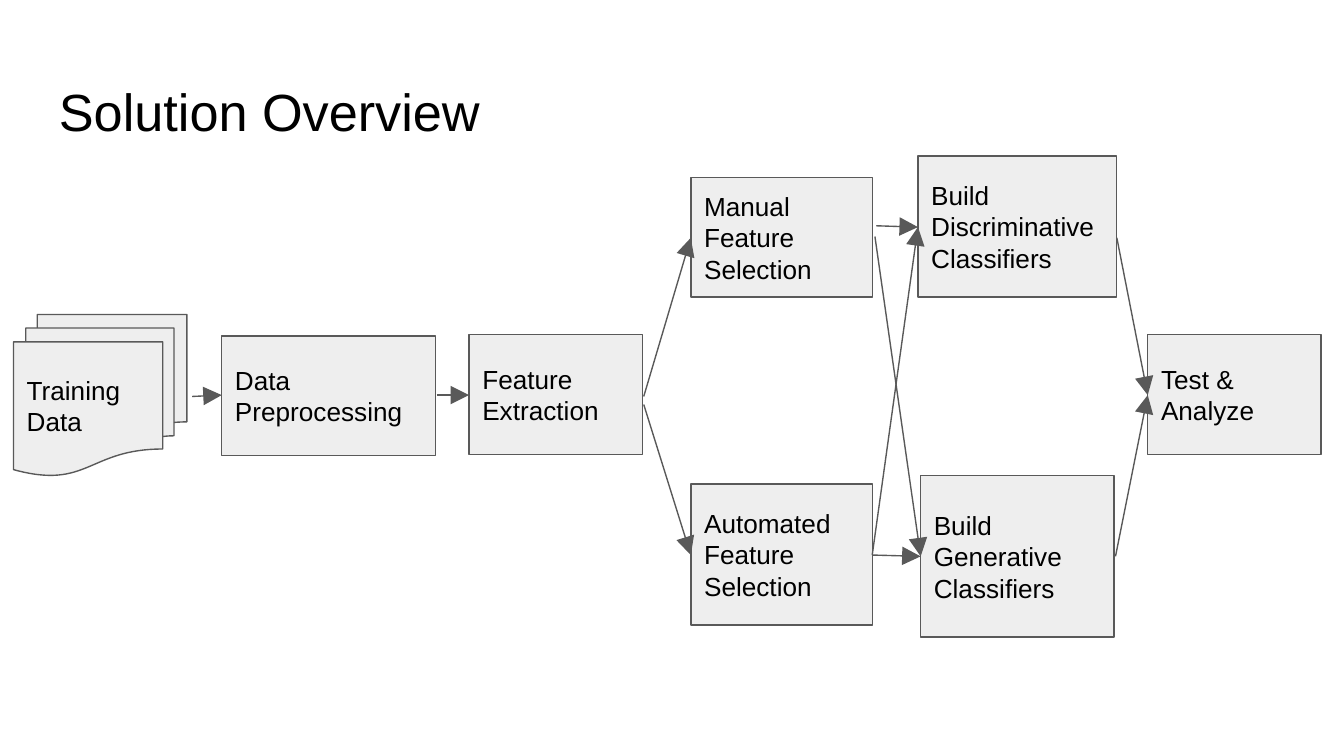
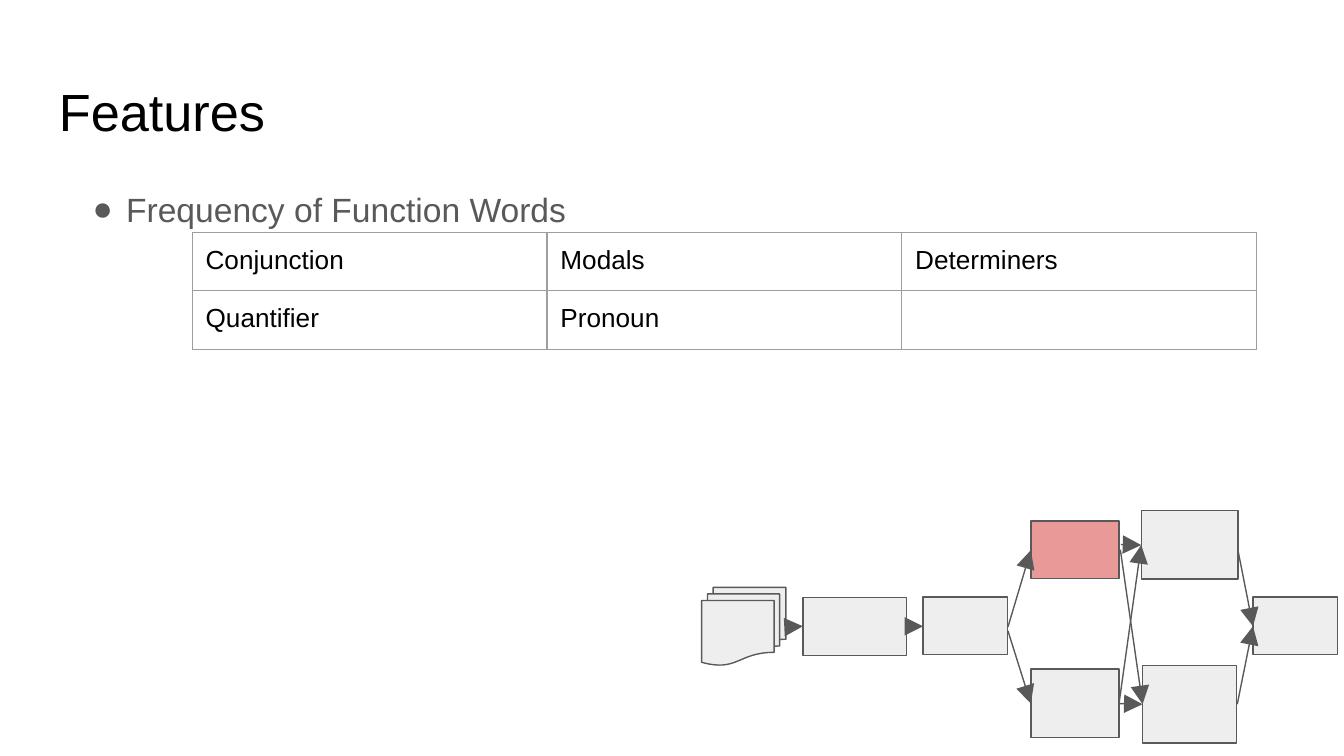
from dataclasses import dataclass

from lxml import etree
from pptx import Presentation
from pptx import util as u
from pptx.dml.color import RGBColor
from pptx.enum import shapes, text
from pptx.oxml import ns

FONT = "Arial"
BLACK, GRAY, BOX_FILL, GRID = "000000", "595959", "EEEEEE", "9E9E9E"
HIGHLIGHT = "EA9999"
INSET = 0.1
LINE_WIDTH = 0.75
LABEL_SIZE = 14
PAGE_WIDTH = 10


@dataclass(frozen=True)
class Frame:
    """A rectangle in inches."""
    left: float
    top: float
    width: float
    height: float


@dataclass(frozen=True)
class Step:
    label: str
    frame: Frame
    kind: shapes.MSO_SHAPE = shapes.MSO_SHAPE.RECTANGLE


@dataclass(frozen=True)
class Arrow:
    start: tuple[float, float]
    end: tuple[float, float]


# The pipeline at full size, and the areas it fills on each slide
FULL_AREA = Frame(0.1, 1.16, 9.73, 3.58)
SMALL_AREA = Frame(5.22, 3.8, 4.73, 1.73)

STEPS = [
    Step("Training Data", Frame(0.1, 2.34, 1.29, 1.2), shapes.MSO_SHAPE.FLOWCHART_MULTIDOCUMENT),
    Step("Data Preprocessing", Frame(1.65, 2.5, 1.59, 0.89)),
    Step("Feature Extraction", Frame(3.49, 2.49, 1.29, 0.89)),
    Step("Manual Feature Selection", Frame(5.14, 1.32, 1.35, 0.89)),
    Step("Automated Feature Selection", Frame(5.14, 3.6, 1.35, 1.05)),
    Step("Build Discriminative Classifiers", Frame(6.83, 1.16, 1.48, 1.05)),
    Step("Build Generative Classifiers", Frame(6.85, 3.54, 1.44, 1.2)),
    Step("Test & Analyze", Frame(8.54, 2.49, 1.29, 0.89)),
]
ARROWS = [
    Arrow((1.43, 2.95), (1.65, 2.94)),
    Arrow((3.25, 2.94), (3.49, 2.94)),
    Arrow((4.79, 2.95), (5.14, 1.77)),
    Arrow((4.79, 3.01), (5.14, 4.13)),
    Arrow((6.49, 4.13), (6.83, 1.69)),
    Arrow((6.49, 4.13), (6.85, 4.14)),
    Arrow((6.51, 1.76), (6.85, 4.14)),
    Arrow((6.52, 1.68), (6.83, 1.69)),
    Arrow((8.31, 1.77), (8.54, 2.94)),
    Arrow((8.3, 4.14), (8.54, 2.94)),
]
FUNCTION_WORDS = [["Conjunction", "Modals", "Determiners"], ["Quantifier", "Pronoun", ""]]


def color(value: str) -> RGBColor:
    return RGBColor.from_string(value)


def add_xml(parent, tag: str, **attributes: str):
    return etree.SubElement(parent, ns.qn(tag), attributes)


def inches(frame: Frame) -> list[u.Length]:
    return [u.Inches(n) for n in (frame.left, frame.top, frame.width, frame.height)]


def write(body, content: str, *, size: float, ink: str = BLACK,
          anchor=text.MSO_ANCHOR.TOP):
    """Put one left-aligned paragraph into a text frame and return it."""
    body.word_wrap = True
    body.vertical_anchor = anchor
    body.margin_left = body.margin_right = u.Inches(INSET)
    body.margin_top = body.margin_bottom = u.Inches(INSET)
    para = body.paragraphs[0]
    para.alignment = text.PP_ALIGN.LEFT
    span = para.add_run()
    span.text = content
    span.font.name = FONT
    span.font.size = u.Pt(size)
    span.font.color.rgb = color(ink)
    return para


def add_page(deck, title: str):
    page = deck.slides.add_slide(deck.slide_layouts[6])
    box = page.shapes.add_textbox(*inches(Frame(0.34, 0.49, 9.32, 0.63)))
    write(box.text_frame, title, size=28)
    return page


def add_bullet(page, content: str) -> None:
    box = page.shapes.add_textbox(*inches(Frame(0.34, 1.26, 9.32, 3.74)))
    para = write(box.text_frame, content, size=18, ink=GRAY)
    para.line_spacing = 1.15
    para.space_after = u.Pt(16)
    props = para._p.get_or_add_pPr()
    props.set("marL", str(u.Inches(0.5)))
    props.set("indent", str(u.Inches(-0.25)))
    add_xml(add_xml(props, "a:buClr"), "a:srgbClr", val=GRAY)
    add_xml(props, "a:buFont", typeface=FONT)
    add_xml(props, "a:buChar", char="●")


def add_borders(cell) -> None:
    props = cell._tc.get_or_add_tcPr()
    for side in ("L", "R", "T", "B"):
        line = add_xml(props, f"a:ln{side}", w=str(u.Pt(LINE_WIDTH)))
        add_xml(add_xml(line, "a:solidFill"), "a:srgbClr", val=GRID)


def add_word_table(page) -> None:
    column_width, row_heights = 2.64, (0.35, 0.42)
    columns = len(FUNCTION_WORDS[0])
    frame = Frame(1.43, 1.73, column_width * columns, sum(row_heights))
    table = page.shapes.add_table(len(row_heights), columns, *inches(frame)).table
    table.first_row = table.horz_banding = False
    for column in table.columns:
        column.width = u.Inches(column_width)
    for row, height, words in zip(table.rows, row_heights, FUNCTION_WORDS):
        row.height = u.Inches(height)
        for cell, word in zip(row.cells, words):
            add_borders(cell)
            cell.fill.background()
            cell.margin_left = cell.margin_right = u.Inches(INSET)
            cell.margin_top = cell.margin_bottom = u.Inches(INSET)
            if word:
                write(cell.text_frame, word, size=LABEL_SIZE)
            else:
                para = cell.text_frame.paragraphs[0]
                add_xml(para._p, "a:endParaRPr", sz=str(LABEL_SIZE * 100))


def place(x: float, y: float, area: Frame) -> tuple[float, float]:
    """Move a point of the full-size pipeline into an area."""
    return (area.left + (x - FULL_AREA.left) * area.width / FULL_AREA.width,
            area.top + (y - FULL_AREA.top) * area.height / FULL_AREA.height)


def add_step(page, step: Step, area: Frame, fill: str, labelled: bool) -> None:
    left, top = place(step.frame.left, step.frame.top, area)
    right, bottom = place(step.frame.left + step.frame.width,
                          step.frame.top + step.frame.height, area)
    box = page.shapes.add_shape(step.kind, *inches(Frame(left, top, right - left, bottom - top)))
    box.shadow.inherit = False
    box.fill.solid()
    box.fill.fore_color.rgb = color(fill)
    box.line.color.rgb = color(GRAY)
    box.line.width = u.Pt(LINE_WIDTH)
    if labelled:
        write(box.text_frame, step.label, size=LABEL_SIZE, anchor=text.MSO_ANCHOR.MIDDLE)


def add_arrow(page, arrow: Arrow, area: Frame) -> None:
    points = place(*arrow.start, area) + place(*arrow.end, area)
    link = page.shapes.add_connector(shapes.MSO_CONNECTOR.STRAIGHT, *map(u.Inches, points))
    link.line.color.rgb = color(GRAY)
    link.line.width = u.Pt(LINE_WIDTH)
    add_xml(link.line._get_or_add_ln(), "a:tailEnd", type="triangle", w="lg", len="lg")
    add_xml(link._element.spPr, "a:effectLst")


def add_pipeline(page, area: Frame, *, labelled: bool = True, highlighted: str = "") -> None:
    for step in STEPS:
        fill = HIGHLIGHT if step.label == highlighted else BOX_FILL
        add_step(page, step, area, fill, labelled)
    for arrow in ARROWS:
        add_arrow(page, arrow, area)


def main() -> None:
    deck = Presentation()
    # Widescreen, 16:9
    deck.slide_width = u.Inches(PAGE_WIDTH)
    deck.slide_height = u.Inches(PAGE_WIDTH * 9 / 16)

    # Solution overview
    page = add_page(deck, "Solution Overview")
    add_pipeline(page, FULL_AREA)

    # Features, with the current step marked in a small pipeline
    page = add_page(deck, "Features")
    add_bullet(page, "Frequency of Function Words")
    add_word_table(page)
    add_pipeline(page, SMALL_AREA, labelled=False, highlighted="Manual Feature Selection")

    deck.save("out.pptx")


if __name__ == "__main__":
    main()
